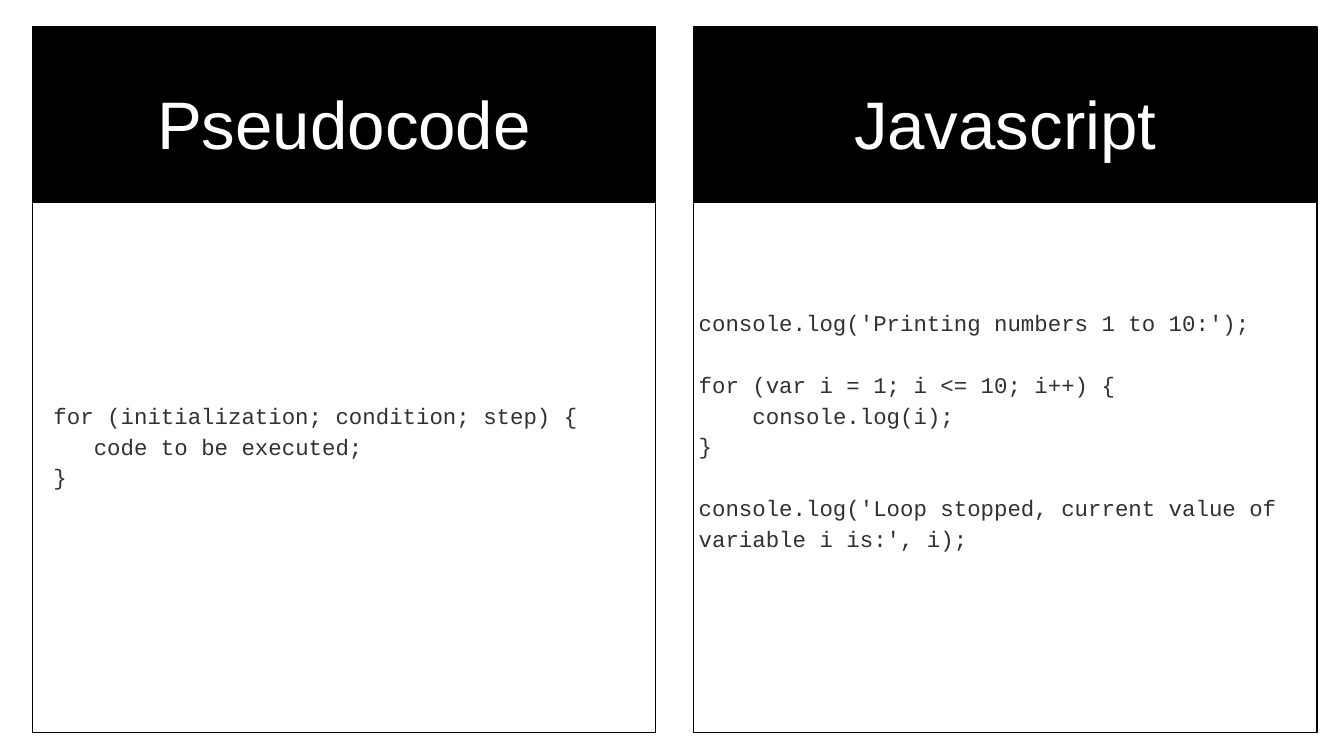
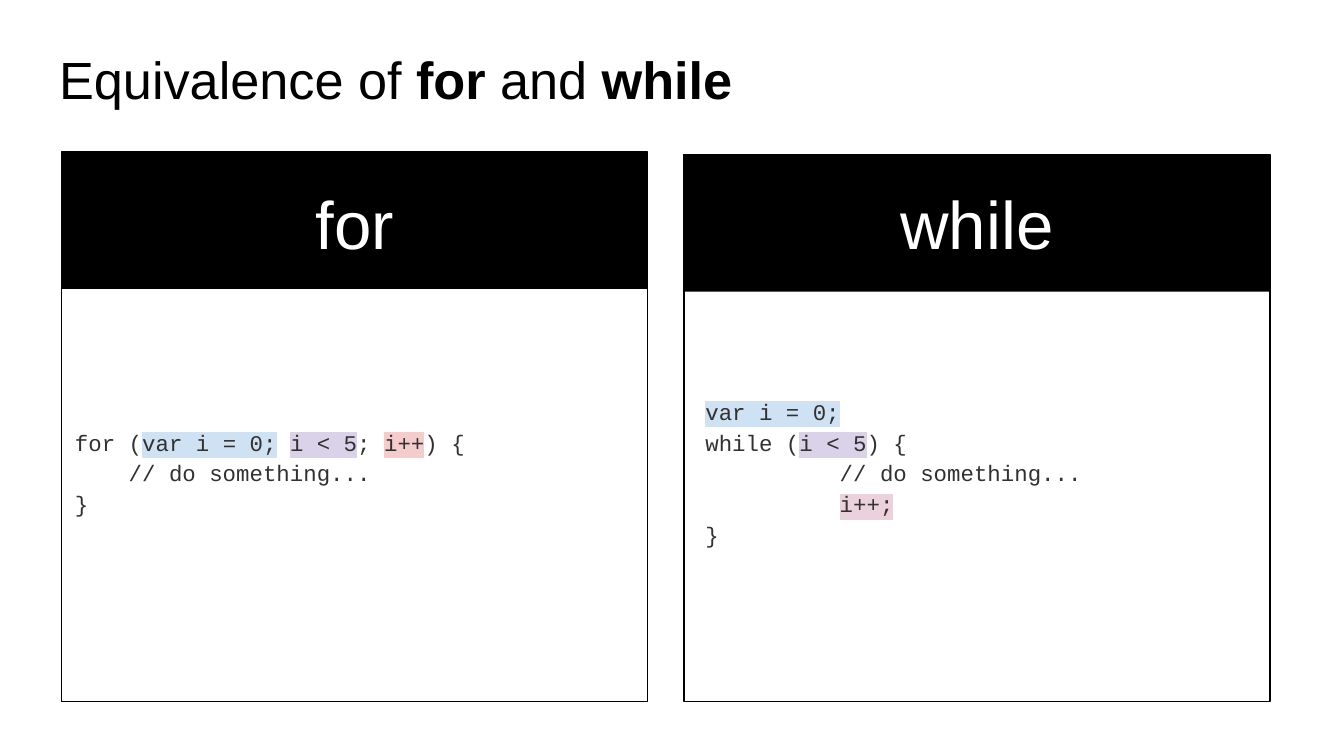
from dataclasses import dataclass

from lxml.etree import SubElement
from pptx import Presentation
from pptx.dml.color import RGBColor
from pptx.enum.shapes import MSO_SHAPE
from pptx.enum.text import MSO_ANCHOR, MSO_AUTO_SIZE, PP_ALIGN
from pptx.oxml.ns import qn
from pptx.util import Inches, Pt

PX = 9144  # 100 px to the inch


@dataclass(frozen=True)
class Theme:
    black: str = "000000"
    white: str = "FFFFFF"
    code_ink: str = "313131"
    blue: str = "CFE2F3"
    purple: str = "D9D2E9"
    red: str = "F4CCCC"
    pink: str = "EAD1DC"
    sans: str = "Arial"
    mono: str = "Courier New"
    title_size: int = 28
    header_size: int = 36
    code_size: int = 12
    code_spacing: float = 1.15
    blank_line: float = 16.5  # pt
    line_px: int = 23
    char_px: int = 10
    inset: int = 10
    code_inset: int = 8


class Deck:
    def __init__(self, theme):
        self.t = theme
        self.prs = Presentation()
        self.prs.slide_width = Inches(10)
        self.prs.slide_height = Inches(5.625)  # 16:9
        self.slide = None

    def add_slide(self):
        self.slide = self.prs.slides.add_slide(self.prs.slide_layouts[5])

    def rect(self, x, y, w, h, fill=None, line=None):
        sp = self.slide.shapes.add_shape(
            MSO_SHAPE.RECTANGLE, x * PX, y * PX, w * PX, h * PX)
        sp.shadow.inherit = False
        if fill:
            sp.fill.solid()
            sp.fill.fore_color.rgb = RGBColor.from_string(fill)
        else:
            sp.fill.background()
        if line:
            sp.line.color.rgb = RGBColor.from_string(line)
            sp.line.width = Pt(0.75)
        else:
            sp.line.fill.background()

    def text_frame(self, x, y, w, h, is_title=False, top_inset=None):
        shapes = self.slide.shapes
        if is_title:
            sp = shapes.title
            sp.left, sp.top, sp.width, sp.height = (v * PX for v in (x, y, w, h))
            sp.element.getparent().append(sp.element)  # bring to front
        else:
            sp = shapes.add_textbox(x * PX, y * PX, w * PX, h * PX)
        tf = sp.text_frame
        tf.word_wrap = True
        tf.auto_size = MSO_AUTO_SIZE.NONE
        tf.vertical_anchor = MSO_ANCHOR.TOP
        tf.margin_left = tf.margin_right = tf.margin_bottom = self.t.inset * PX
        tf.margin_top = (top_inset or self.t.inset) * PX
        return tf

    def style(self, p, font, size, color, align=PP_ALIGN.LEFT, spacing=1.0):
        p.alignment = align
        p.line_spacing = spacing
        p.font.name = font
        p.font.size = Pt(size)
        p.font.color.rgb = RGBColor.from_string(color)

    def title(self, *parts):
        """Parts alternate between regular and bold."""
        p = self.text_frame(34, 25, 932, 63, is_title=True).paragraphs[0]
        self.style(p, self.t.sans, self.t.title_size, self.t.black)
        for i, part in enumerate(parts):
            r = p.add_run()
            r.text = part
            r.font.bold = i % 2 == 1

    def panel(self, x, y, w, h, band):
        self.rect(x, y, w, h, line=self.t.black)
        self.rect(x, y, w, band, fill=self.t.black)

    def header(self, text, center, y, is_title=False):
        p = self.text_frame(center - 180, y, 360, 63, is_title).paragraphs[0]
        self.style(p, self.t.sans, self.t.header_size, self.t.white,
                   PP_ALIGN.CENTER)
        p.add_run().text = text

    def code(self, x, y, w, h, lines, skip, margin=0):
        """Each line is (indent in characters, *parts); None is a blank line.

        A part is a string or a (string, highlight) pair.
        """
        t = self.t
        tf = self.text_frame(x, y, w, h,
                             top_inset=t.code_inset + skip * t.line_px)
        p, gap = tf.paragraphs[0], False
        for i, line in enumerate(lines):
            if line is None:
                gap = True
                continue
            if i:
                p = tf.add_paragraph()
            indent, *parts = line
            self.style(p, t.mono, t.code_size, t.code_ink, spacing=t.code_spacing)
            p.space_before = Pt(t.blank_line if gap else 0)
            gap = False
            pPr = p._p.get_or_add_pPr()
            pPr.set("marL", str((margin + indent * t.char_px) * PX))
            pPr.set("indent", "0")
            for part in parts:
                text, mark = (part, None) if isinstance(part, str) else part
                r = p.add_run()
                r.text = text
                if mark:
                    rPr = r._r.get_or_add_rPr()
                    highlight = SubElement(rPr, qn("a:highlight"))
                    SubElement(highlight, qn("a:srgbClr")).set("val", mark)


def syntax_slide(deck):
    deck.add_slide()
    for x, name in ((24, "Pseudocode"), (516, "Javascript")):
        deck.panel(x, 20, 464, 525, 131)
        deck.header(name, x + 232, 51, is_title=name == "Pseudocode")
    deck.code(24, 150, 464, 394, [
        (0, "for (initialization; condition; step) {"),
        (3, "code to be executed;"),
        (0, "}"),
    ], skip=6, margin=6)
    deck.code(510, 150, 469, 394, [
        (0, "console.log('Printing numbers 1 to 10:');"),
        None,
        (0, "for (var i = 1; i <= 10; i++) {"),
        (4, "console.log(i);"),
        (0, "}"),
        None,
        (0, "console.log('Loop stopped, current value of variable i is:', i);"),
    ], skip=3)


def equivalence_slide(deck):
    t = deck.t
    start, test = ("var i = 0;", t.blue), ("i < 5", t.purple)
    deck.add_slide()
    deck.title("Equivalence of ", "for ", "and ", "while")
    for x, y, name in ((46, 113, "for"), (509, 115, "while")):
        deck.panel(x, y, 436, 522 - y, 102)
        deck.header(name, x + 218, 126)
    deck.code(46, 216, 436, 306, [
        (0, "for (", start, " ", test, "; ", ("i++", t.red), ") {"),
        (4, "// do something..."),
        (0, "}"),
    ], skip=4)
    deck.code(509, 216, 436, 306, [
        (0, start),
        (0, "while (", test, ") {"),
        (10, "// do something..."),
        (10, ("i++;", t.pink)),
        (0, "}"),
    ], skip=3, margin=6)


def main():
    deck = Deck(Theme())
    syntax_slide(deck)
    equivalence_slide(deck)
    deck.prs.save("out.pptx")


if __name__ == "__main__":
    main()
